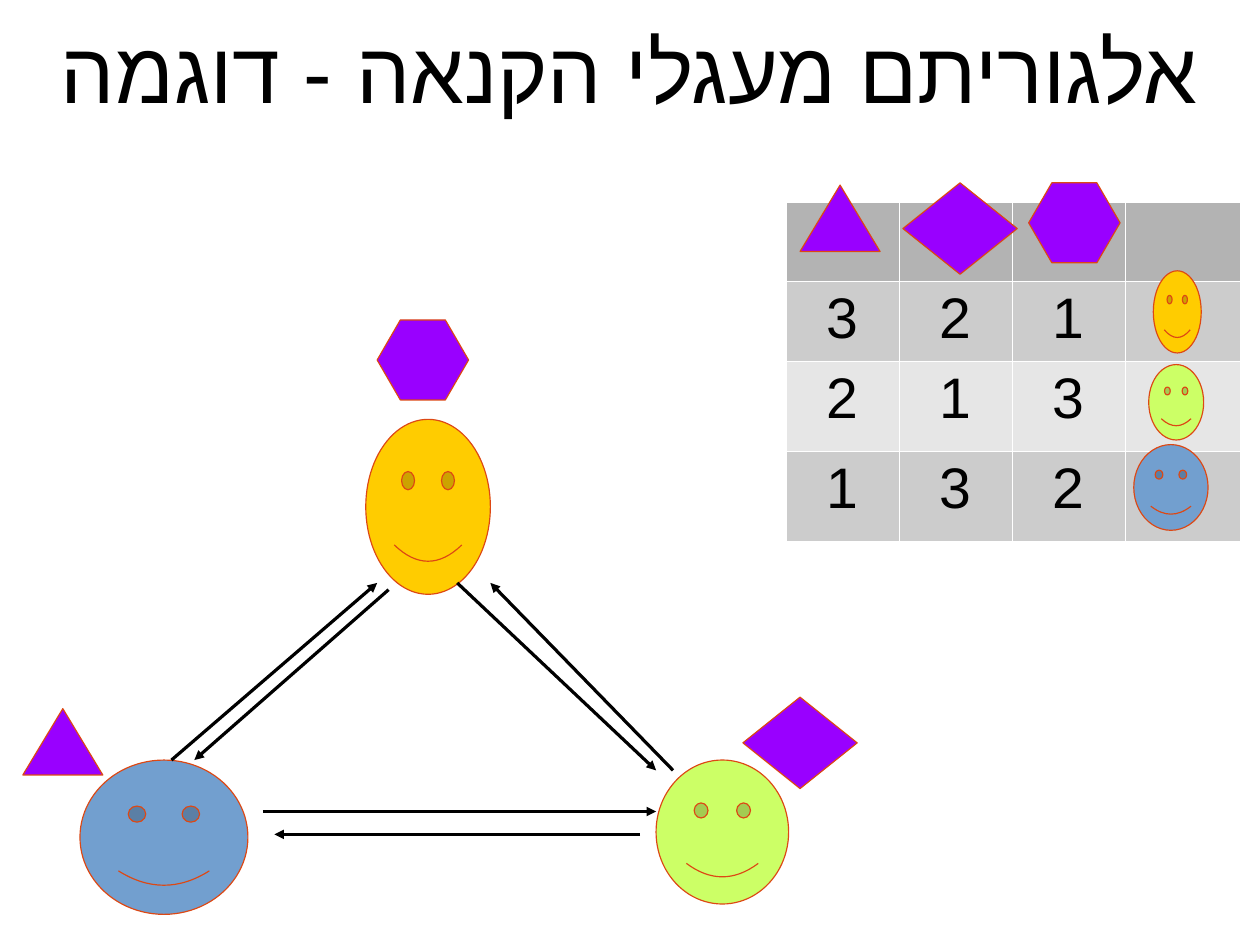
from dataclasses import dataclass

from lxml.etree import SubElement
from pptx import Presentation
from pptx.dml.color import RGBColor
from pptx.enum.shapes import MSO_CONNECTOR as Connector
from pptx.enum.shapes import MSO_SHAPE as Preset
from pptx.enum.text import MSO_ANCHOR as Anchor
from pptx.enum.text import MSO_AUTO_SIZE as AutoSize
from pptx.enum.text import PP_ALIGN as Align
from pptx.oxml.ns import qn
from pptx.util import Pt


@dataclass(frozen=True)
class Theme:
    font: str = "Arial"
    title_size: float = 54
    cell_size: float = 36
    ink: str = "000000"
    outline: str = "DD4814"
    item: str = "9900FF"
    yellow: str = "FFCC00"
    green: str = "CCFF66"
    blue: str = "729FCF"
    header: str = "B3B3B3"
    bands: tuple = ("CCCCCC", "E6E6E6")
    border: str = "FFFFFF"
    border_width: float = 0.06


THEME = Theme()
TITLE = "אלגוריתם מעגלי הקנאה - דוגמה"

# Colour, large face, face in the table: left, top, width, height
AGENTS = [
    (THEME.yellow, (230.4, 264.2, 78.5, 110.2), (726.5, 170.6, 30.2, 51.8)),
    (THEME.green, (413.3, 478.8, 83.5, 90.7), (723.6, 229.7, 34.6, 47.5)),
    (THEME.blue, (50.4, 478.8, 105.8, 97.2), (714.2, 280.1, 46.8, 54)),
]
# Preset, adjustment, size, place in the table header, place beside its owner
ITEMS = [
    (Preset.ISOSCELES_TRIANGLE, 0.5, (50.4, 41.8), (504, 116.6), (14.4, 446.4)),
    (Preset.DIAMOND, None, (72, 57.6), (568.8, 115.2), (468, 439.2)),
    (Preset.HEXAGON, 0.29, (57.6, 50.4), (648, 115.2), (237.6, 201.6)),
]
SMILE = 0.09
RANKS = [(3, 2, 1), (2, 1, 3), (1, 3, 2)]
TABLE_ORIGIN = (494.9, 127)
COLUMN_WIDTHS = (71.3, 71.3, 71.3, 72.7)
ROW_HEIGHTS = (49.8, 50.4, 56.7, 56.7)
ARROWS = [
    ((424, 485.3), (308.9, 367.2)),
    ((108, 478.8), (237.6, 367.2)),
    ((288, 367.2), (413.3, 485.3)),
    ((244.8, 371.5), (122.4, 478.8)),
    ((165.6, 511.2), (413.3, 511.2)),
    ((403.2, 525.6), (172.8, 525.6)),
]


def points(*values):
    return [Pt(value) for value in values]


def colour(code):
    return RGBColor.from_string(code)


def format_para(para, size):
    para.alignment = Align.CENTER
    for run in para.runs:
        run.font.name = THEME.font
        run.font.size = Pt(size)
        run.font.color.rgb = colour(THEME.ink)
        # Hebrew takes its typeface from the complex-script slot
        SubElement(run.font._element, qn("a:cs"), typeface=THEME.font)


def set_title(page, text):
    title = page.shapes.title
    title.left, title.top, title.width, title.height = points(0, -7.2, 793.4, 102.2)
    frame = title.text_frame
    frame.text = text
    frame.word_wrap = True
    frame.auto_size = AutoSize.NONE
    frame.vertical_anchor = Anchor.MIDDLE
    frame.margin_left = frame.margin_right = 0
    frame.margin_top = frame.margin_bottom = 0
    para = frame.paragraphs[0]
    format_para(para, THEME.title_size)
    para._p.get_or_add_pPr().set("rtl", "1")


def add_figure(page, preset, bounds, fill, adjustment=None):
    figure = page.shapes.add_shape(preset, *points(*bounds))
    figure.shadow.inherit = False
    figure.fill.solid()
    figure.fill.fore_color.rgb = colour(fill)
    figure.line.color.rgb = colour(THEME.outline)
    figure.line.width = Pt(0)
    if adjustment is not None:
        figure.adjustments[0] = adjustment


def add_arrow(page, start, end):
    arrow = page.shapes.add_connector(Connector.STRAIGHT, *points(*start, *end))
    arrow.line.color.rgb = colour(THEME.ink)
    arrow.line.width = Pt(0)
    SubElement(arrow.line._get_or_add_ln(), qn("a:tailEnd"), type="triangle")
    SubElement(arrow._element.spPr, qn("a:effectLst"))


def style_cell(cell, fill):
    properties = cell._tc.get_or_add_tcPr()
    for side in ("lnL", "lnR", "lnT", "lnB"):
        border = SubElement(properties, qn(f"a:{side}"), w=str(Pt(THEME.border_width)))
        solid = SubElement(border, qn("a:solidFill"))
        SubElement(solid, qn("a:srgbClr"), val=THEME.border)
    cell.fill.solid()
    cell.fill.fore_color.rgb = colour(fill)


def add_rank_table(page):
    size = (sum(COLUMN_WIDTHS), sum(ROW_HEIGHTS))
    table = page.shapes.add_table(
        len(ROW_HEIGHTS), len(COLUMN_WIDTHS), *points(*TABLE_ORIGIN, *size)
    ).table
    for column, width in zip(table.columns, COLUMN_WIDTHS):
        column.width = Pt(width)
    for index, (row, height) in enumerate(zip(table.rows, ROW_HEIGHTS)):
        row.height = Pt(height)
        fill = THEME.bands[(index - 1) % 2] if index else THEME.header
        for cell in row.cells:
            style_cell(cell, fill)
    for row_index, ranks in enumerate(RANKS, start=1):
        for column_index, rank in enumerate(ranks):
            cell = table.cell(row_index, column_index)
            cell.text_frame.text = str(rank)
            format_para(cell.text_frame.paragraphs[0], THEME.cell_size)


def main():
    deck = Presentation()
    deck.slide_width, deck.slide_height = points(793.7, 595.3)
    page = deck.slides.add_slide(deck.slide_layouts.get_by_name("Title Only"))
    set_title(page, TITLE)
    add_rank_table(page)
    for fill, *places in AGENTS:
        for bounds in places:
            add_figure(page, Preset.SMILEY_FACE, bounds, fill, SMILE)
    for preset, adjustment, size, *places in ITEMS:
        for place in places:
            add_figure(page, preset, (*place, *size), THEME.item, adjustment)
    for start, end in ARROWS:
        add_arrow(page, start, end)
    deck.save("out.pptx")


if __name__ == "__main__":
    main()
